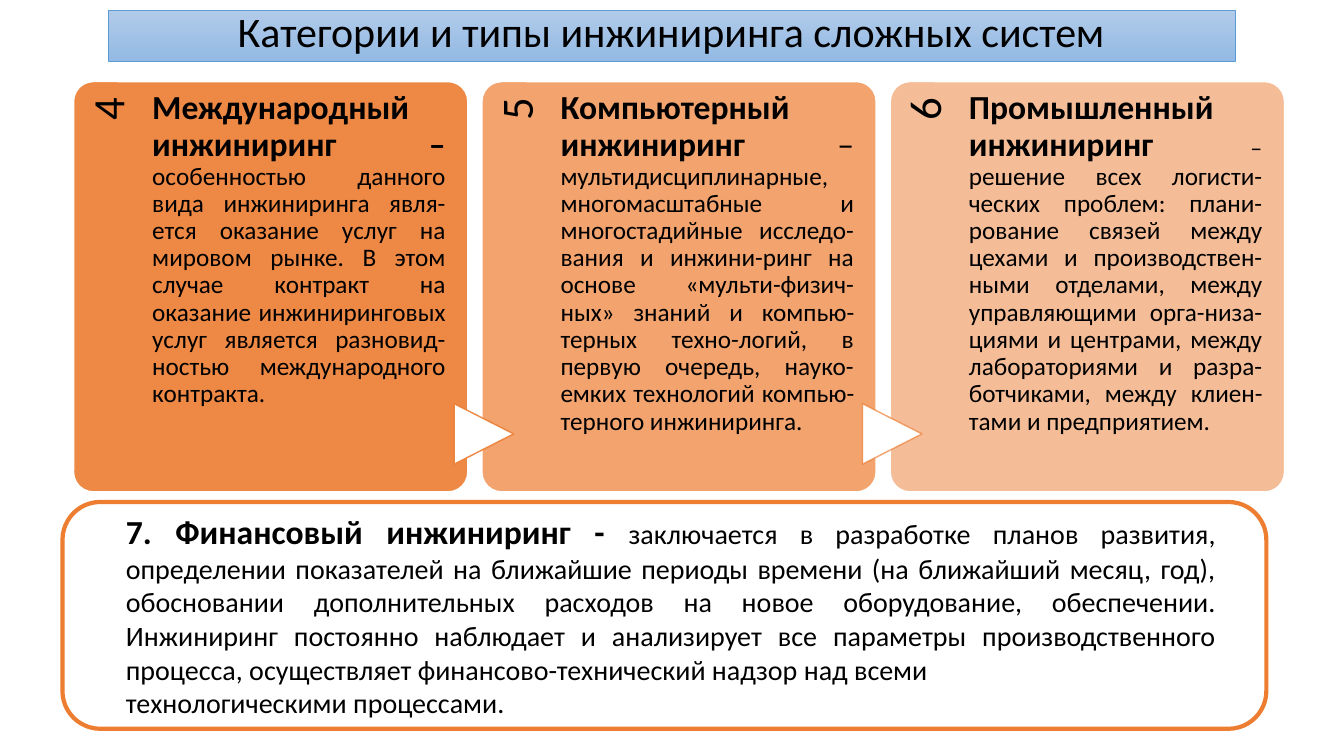
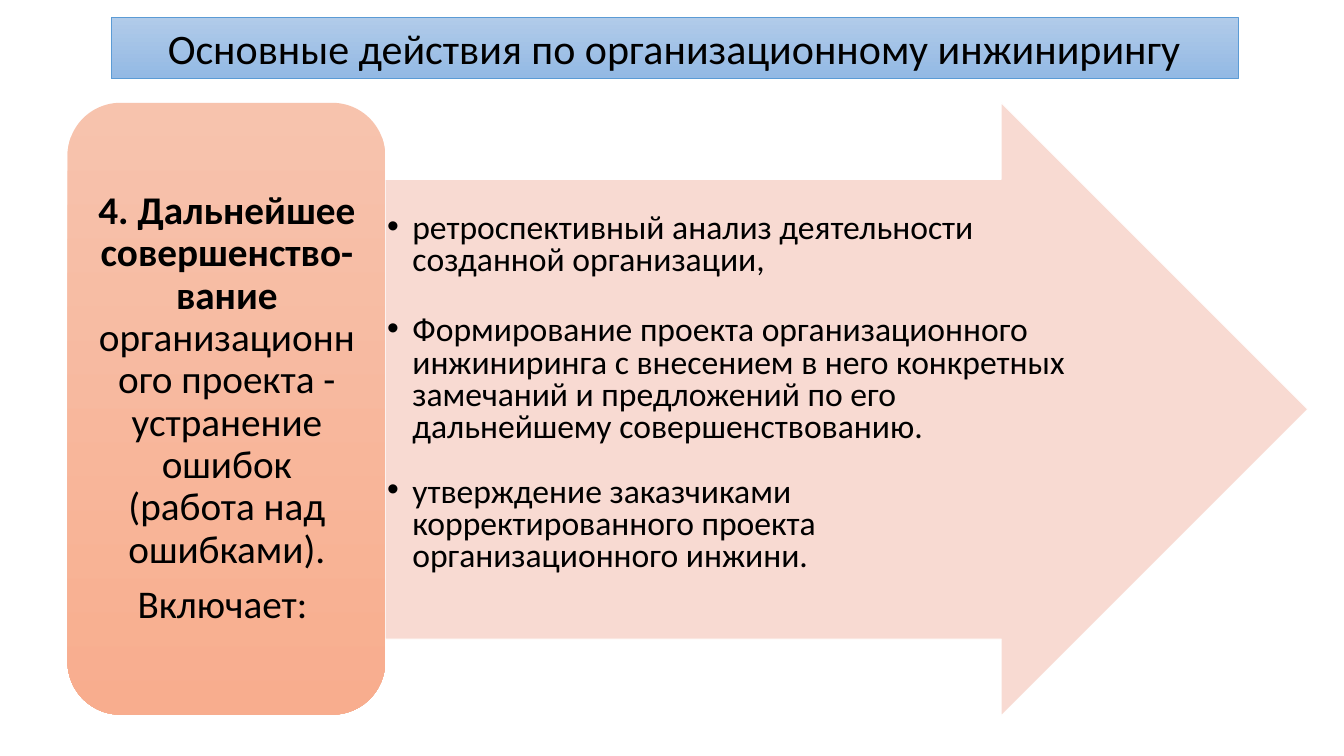
from dataclasses import dataclass

import pptx
import pptx.dml.color
import pptx.enum.shapes
import pptx.enum.text
import pptx.oxml.ns
import pptx.oxml.xmlchemy
import pptx.util
from lxml import etree

SCALE = 9144  # EMU in one px, 100 px to the inch
FONT = "Calibri"
INK, WHITE, ORANGE, BLUE = "000000", "FFFFFF", "ED7D31", "5B9BD5"
BAND = ("B1CBE9", "93B9E4")
PEACH = ("F7BDA5", "F8A582")
PINK = "F8D7CE"

KIND = pptx.enum.shapes.MSO_SHAPE
ALIGN = pptx.enum.text.PP_ALIGN
ANCHOR = pptx.enum.text.MSO_ANCHOR
Pt = pptx.util.Pt
qn = pptx.oxml.ns.qn


@dataclass(frozen=True)
class Box:
    left: int
    top: int
    width: int
    height: int


@dataclass(frozen=True)
class Run:
    text: str
    size: int
    bold: bool = False


@dataclass(frozen=True)
class Para:
    runs: tuple[Run, ...]
    align: ALIGN = ALIGN.JUSTIFY
    lead: float = 1.0
    before: int = 0
    bullet: bool = False


@dataclass(frozen=True)
class Card:
    digit: str
    alpha: int
    runs: tuple[Run, ...]


CARDS = (
    Card("4", 90, (
        Run("Международный инжиниринг – ", 24, True),
        Run("особенностью данного вида инжиниринга явля-ется оказание услуг на "
            "мировом рынке. В этом случае контракт на оказание инжиниринговых "
            "услуг является разновид-ностью международного контракта.", 18))),
    Card("5", 70, (
        Run("Компьютерный инжиниринг ", 24, True),
        Run("–", 24),
        Run("мультидисциплинарные, многомасштабные и многостадийные исследо-вания "
            "и инжини-ринг на основе «мульти-физич-ных» знаний и компью-терных "
            "техно-логий, в первую очередь, науко-емких технологий "
            "компью-терного инжиниринга.", 18))),
    Card("6", 50, (
        Run("Промышленный инжиниринг ", 24, True),
        Run("–", 17),
        Run("решение всех логисти-ческих проблем: плани-рование связей между "
            "цехами и производствен-ными отделами, между управляющими "
            "орга-низа-циями и центрами, между лабораториями и разра-ботчиками, "
            "между клиен-тами и предприятием.", 18))),
)

FINANCE = (
    Para((
        Run("7. Финансовый инжиниринг - ", 24, True),
        Run("заключается в разработке планов развития, определении показателей на "
            "ближайшие периоды времени (на ближайший месяц, год), обосновании "
            "дополнительных расходов на новое оборудование, обеспечении. "
            "Инжиниринг постоянно наблюдает и анализирует все параметры "
            "производственного процесса, осуществляет финансово-технический "
            "надзор над всеми", 20))),
    Para((Run("технологическими процессами.", 20),)),
)

STAGE = (
    Para((
        Run("4. Дальнейшее совершенство-вание", 28, True),
        Run(" организационного проекта - устранение ошибок (работа над ошибками).",
            28)), ALIGN.CENTER, 0.9),
    Para((Run("Включает: ", 28),), ALIGN.CENTER, 0.9, 9),
)

STEPS = (
    (0, "ретроспективный анализ деятельности созданной организации,"),
    (27, "Формирование проекта организационного инжиниринга с внесением в него "
         "конкретных замечаний и предложений по его дальнейшему "
         "совершенствованию."),
    (23, "утверждение заказчиками корректированного проекта организационного "
         "инжини."),
)


def px(count: int) -> int:
    return count * SCALE


def rgb(code: str):
    return pptx.dml.color.RGBColor.from_string(code)


def place(box: Box) -> tuple[int, ...]:
    return px(box.left), px(box.top), px(box.width), px(box.height)


def fade(node, alpha: int) -> None:
    """Make every colour below the node show at alpha percent."""
    for tint in node.iter(qn("a:srgbClr")):
        etree.SubElement(tint, qn("a:alpha")).set("val", str(alpha * 1000))


def draw(slide, kind, box: Box, fill: str | tuple[str, str],
         line: str | None = None, weight: float = 1, alpha: int = 100):
    """Add a preset shape; a pair of fill colours runs from top to bottom."""
    shape = slide.shapes.add_shape(kind, *place(box))
    shape.shadow.inherit = False
    if isinstance(fill, tuple):
        shape.fill.gradient()
        shape.fill.gradient_angle = 270
        for stop, code in zip(shape.fill.gradient_stops, fill):
            stop.color.rgb = rgb(code)
    else:
        shape.fill.solid()
        shape.fill.fore_color.rgb = rgb(fill)
    if alpha < 100:
        fade(shape._element.spPr, alpha)
    if line:
        shape.line.color.rgb = rgb(line)
        shape.line.width = Pt(weight)
    else:
        shape.line.fill.background()
    return shape


def mark(para, indent: int) -> None:
    """Give the paragraph a hanging bullet."""
    props = para._p.get_or_add_pPr()
    props.set("marL", str(px(indent)))
    props.set("indent", str(-px(indent)))
    etree.SubElement(props, qn("a:buFont")).set("typeface", "Arial")
    etree.SubElement(props, qn("a:buChar")).set("char", "•")


def write(shape, paras: tuple[Para, ...], inset=(10, 5, 10, 5),
          anchor=ANCHOR.TOP) -> None:
    """Fill the shape with text; insets are left, top, right, bottom."""
    frame = shape.text_frame
    frame.word_wrap = True
    frame.vertical_anchor = anchor
    (frame.margin_left, frame.margin_top,
     frame.margin_right, frame.margin_bottom) = map(px, inset)
    for i, item in enumerate(paras):
        para = frame.add_paragraph() if i else frame.paragraphs[0]
        para.alignment = item.align
        para.line_spacing = item.lead
        if item.before:
            para.space_before = Pt(item.before)
        if item.bullet:
            mark(para, 25)
        para.font.name = FONT
        para.font.color.rgb = rgb(INK)
        for part in item.runs:
            run = para.add_run()
            run.text = part.text
            run.font.size = Pt(part.size)
            run.font.bold = part.bold
            run.font.name = FONT
            run.font.color.rgb = rgb(INK)


def label(slide, box: Box, paras: tuple[Para, ...], **look):
    text = slide.shapes.add_textbox(*place(box))
    write(text, paras, **look)
    return text


def title(slide, box: Box, text: str, lead: float = 1.0) -> None:
    band = draw(slide, KIND.RECTANGLE, box, BAND, BLUE, 0.5)
    write(band, (Para((Run(text, 30),), ALIGN.CENTER, lead),))


def panel(slide, index: int, card: Card) -> None:
    left, top, high = 73 + 405 * index, 81, 407
    base = draw(slide, KIND.ROUNDED_RECTANGLE, Box(left, top, 391, high),
                ORANGE, WHITE, 1, card.alpha)
    base.adjustments[0] = 0.05
    digit = label(slide, Box(left, top, 78, 334),
                  (Para((Run(card.digit, 32),), ALIGN.RIGHT, 0.9),),
                  inset=(12, 16, 0, 0))
    digit.text_frame._txBody.bodyPr.set("vert", "vert270")
    if index:
        tip = draw(slide, KIND.FLOWCHART_EXTRACT, Box(left - 28, 401, 60, 59),
                   WHITE, ORANGE)
        tip.rotation = 90
        fade(tip._element.spPr.find(qn("a:ln")), CARDS[index - 1].alpha)
    label(slide, Box(left + 78, top, 291, high), (Para(card.runs, lead=0.9),),
          inset=(0, 9, 0, 0))


def types(slide) -> None:
    title(slide, Box(107, 10, 1118, 51),
          "Категории и типы инжиниринга сложных систем", 0.8)
    for index, card in enumerate(CARDS):
        panel(slide, index, card)
    draw(slide, KIND.ROUNDED_RECTANGLE, Box(62, 498, 1194, 225),
         WHITE, ORANGE, 3)
    label(slide, Box(115, 502, 1101, 219), FINANCE)


def tasks(slide) -> None:
    title(slide, Box(110, 17, 1118, 61),
          "Основные действия по организационному инжинирингу")
    arrow = draw(slide, KIND.RIGHT_ARROW, Box(382, 102, 915, 608),
                 PINK, WHITE, 0.5, 90)
    arrow.adjustments[0] = 0.75
    arrow.adjustments[1] = 0.5
    steps = tuple(Para((Run(text, 24),), ALIGN.LEFT, 0.8, gap, True)
                  for gap, text in STEPS)
    label(slide, Box(382, 210, 687, 424), steps, inset=(2, 2, 2, 2))
    draw(slide, KIND.ROUNDED_RECTANGLE, Box(67, 102, 315, 607), PEACH, alpha=90)
    label(slide, Box(83, 117, 284, 577), STAGE, inset=(12, 6, 12, 6),
          anchor=ANCHOR.MIDDLE)


def main() -> None:
    deck = pptx.Presentation()
    deck.slide_width, deck.slide_height = px(1333), px(750)
    for build in (types, tasks):
        build(deck.slides.add_slide(deck.slide_layouts[6]))
    deck.save("out.pptx")


if __name__ == "__main__":
    main()
